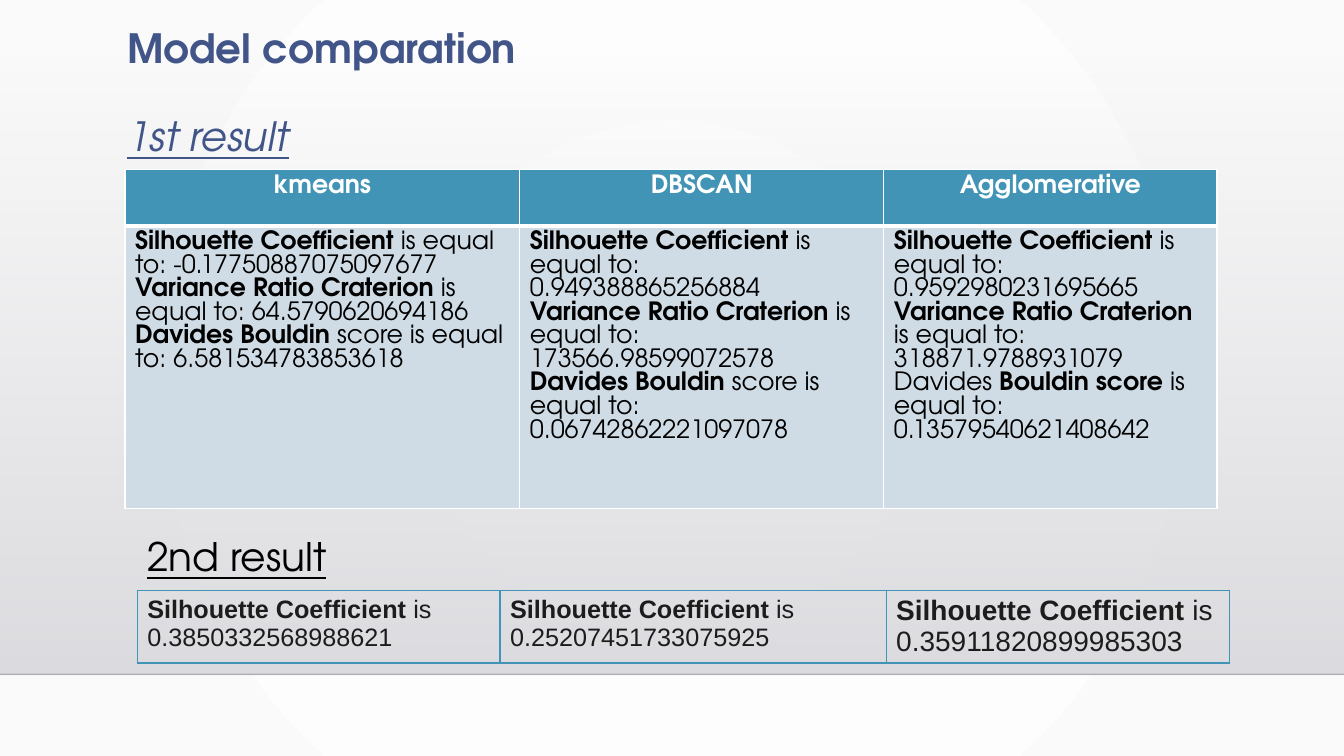
"""Build the model comparison slide with its two result tables."""
from dataclasses import dataclass
from typing import Optional

from lxml import etree
from pptx import Presentation
from pptx import util as u
from pptx.dml.color import RGBColor
from pptx.enum import shapes, text
from pptx.oxml import parse_xml
from pptx.oxml.ns import nsdecls, qn

COLORS = {
    "title": "415588", "header": "4294B6", "body": "CFDCE5", "white": "FFFFFF",
    "black": "000000", "ink": "1D1C1D", "edge": "FAFAFA", "band_top": "DCDCE0",
    "band_bottom": "DEDEE2", "rule": "000001",
}
HEADING_FONT = "TeX Gyre Adventor"
WIDTH, HEIGHT = 960, 540
FLOOR = 481.7


@dataclass
class Cell:
    words: str
    color: str
    fill: Optional[str] = None
    font: str = HEADING_FONT
    size: float = 18
    align: text.PP_ALIGN = text.PP_ALIGN.LEFT
    bottom_line: float = 1
    bottom_margin: float = 3.6


@dataclass
class Grid:
    left: float
    top: float
    columns: list[float]
    rows: list[float]
    border: str
    cells: list[list[Cell]]


def rgb(name: str) -> RGBColor:
    return RGBColor.from_string(COLORS[name])


def set_alpha(color_element, percent: int) -> None:
    etree.SubElement(color_element, qn("a:alpha"), val=str(percent * 1000))


def write(para, words: str, *, size: float, color: str, font: str = HEADING_FONT,
          bold: bool = False, italic: bool = False, underline: bool = False,
          align=text.PP_ALIGN.LEFT, line_spacing=None, before: float = 0) -> None:
    """Write words into a paragraph; each | switches bold on or off."""
    para.alignment = align
    para.line_spacing = line_spacing
    para.space_before = u.Pt(before)
    for index, piece in enumerate(words.split("|")):
        span = para.add_run()
        span.text = piece
        span.font.name = font
        span.font.size = u.Pt(size)
        span.font.color.rgb = rgb(color)
        span.font.bold = bold == (index % 2 == 0)
        span.font.italic = italic
        span.font.underline = underline


def add_frame(page, left: float, top: float, width: float, height: float):
    box = page.shapes.add_textbox(u.Pt(left), u.Pt(top), u.Pt(width), u.Pt(height))
    box.text_frame.word_wrap = True
    return box.text_frame


def set_gradient(fill, first: str, last: str) -> None:
    fill.gradient()
    for stop, name in zip(fill.gradient_stops, (first, last)):
        stop.color.rgb = rgb(name)


def add_backdrop(page) -> None:
    set_gradient(page.background.fill, "white", "edge")
    gradient = page.element.find(".//" + qn("a:gradFill"))
    gradient.replace(gradient.find(qn("a:lin")), parse_xml(
        f'<a:path {nsdecls("a")} path="circle">'
        '<a:fillToRect l="50000" t="50000" r="50000" b="50000"/></a:path>'))

    band = page.shapes.add_shape(shapes.MSO_SHAPE.RECTANGLE, 0, u.Pt(36.7),
                                 u.Pt(WIDTH), u.Pt(FLOOR - 36.7))
    band.shadow.inherit = False
    band.line.fill.background()
    set_gradient(band.fill, "band_top", "band_bottom")
    band.fill.gradient_angle = 270
    set_alpha(band.element.find(".//" + qn("a:srgbClr")), 0)

    rule = page.shapes.add_connector(shapes.MSO_CONNECTOR.STRAIGHT, 0, u.Pt(FLOOR),
                                     u.Pt(WIDTH), u.Pt(FLOOR))
    rule.line.width = u.Pt(1)
    rule.line.color.rgb = rgb("rule")
    set_alpha(rule.element.find(".//" + qn("a:srgbClr")), 20)
    etree.SubElement(rule.element.spPr, qn("a:effectLst"))


def set_borders(cell, color: str, bottom: float) -> None:
    properties = cell._tc.get_or_add_tcPr()
    for index, (side, width) in enumerate(zip("LRTB", (1, 1, 1, bottom))):
        properties.insert(index, parse_xml(
            f'<a:ln{side} {nsdecls("a")} w="{u.Pt(width)}"><a:solidFill>'
            f'<a:srgbClr val="{COLORS[color]}"/></a:solidFill></a:ln{side}>'))


def add_grid(page, grid: Grid) -> None:
    table = page.shapes.add_table(
        len(grid.rows), len(grid.columns), u.Pt(grid.left), u.Pt(grid.top),
        u.Pt(sum(grid.columns)), u.Pt(sum(grid.rows))).table
    table.first_row = table.horz_banding = False
    for column, width in zip(table.columns, grid.columns):
        column.width = u.Pt(width)
    for row, height, items in zip(table.rows, grid.rows, grid.cells):
        row.height = u.Pt(height)
        for cell, item in zip(row.cells, items):
            if item.fill:
                cell.fill.solid()
                cell.fill.fore_color.rgb = rgb(item.fill)
            else:
                cell.fill.background()
            cell.margin_bottom = u.Pt(item.bottom_margin)
            set_borders(cell, grid.border, item.bottom_line)
            write(cell.text_frame.paragraphs[0], item.words, size=item.size,
                  color=item.color, font=item.font, bold=True, align=item.align)


MODELS = ["kmeans", "DBSCAN", "Agglomerative"]
FIRST_SCORES = [
    "Silhouette Coefficient |is equal to: -0.17750887075097677 |Variance Ratio Craterion "
    "|is equal to: 64.5790620694186 |Davides Bouldin |score is equal to: 6.581534783853618",
    "Silhouette Coefficient |is equal to: 0.949388865256884 |Variance Ratio Craterion "
    "|is equal to: 173566.98599072578 |Davides Bouldin |score is equal to: 0.06742862221097078",
    "Silhouette Coefficient |is equal to: 0.9592980231695665 |Variance Ratio Craterion"
    "| is equal to: 318871.9788931079 Davides |Bouldin score |is equal to: 0.13579540621408642",
]
SECOND_SCORES = [("0.3850332568988621", 18), ("0.25207451733075925", 18),
                 ("0.35911820899985303", 20)]

FIRST_GRID = Grid(89.3, 121, [282, 260, 238], [40.5, 163.5], "white", [
    [Cell(model, "white", "header", align=text.PP_ALIGN.CENTER, bottom_line=3)
     for model in MODELS],
    [Cell(scores, "black", "body") for scores in FIRST_SCORES],
])
SECOND_GRID = Grid(98, 421.6, [259.2, 275.8, 245.5], [52], "header", [
    [Cell(f"Silhouette Coefficient |is {score}", "ink", font="Arial", size=size,
          bottom_line=2, bottom_margin=0) for score, size in SECOND_SCORES],
])


def main() -> None:
    deck = Presentation()
    deck.slide_width, deck.slide_height = u.Pt(WIDTH), u.Pt(HEIGHT)
    page = deck.slides.add_slide(deck.slide_layouts[6])
    add_backdrop(page)

    title = add_frame(page, 83.7, 16.6, 756, 82.8)
    write(title.paragraphs[0], "Model comparation", size=28.8, color="title",
          bold=True, line_spacing=0.9)
    write(title.add_paragraph(), "1st result", size=28.8, color="title",
          italic=True, underline=True, line_spacing=0.9, before=32)

    add_grid(page, FIRST_GRID)
    add_grid(page, SECOND_GRID)
    second = add_frame(page, 98, 376.6, 480, 41)
    write(second.paragraphs[0], "2nd result", size=28, color="black", underline=True)
    deck.save("out.pptx")


if __name__ == "__main__":
    main()
